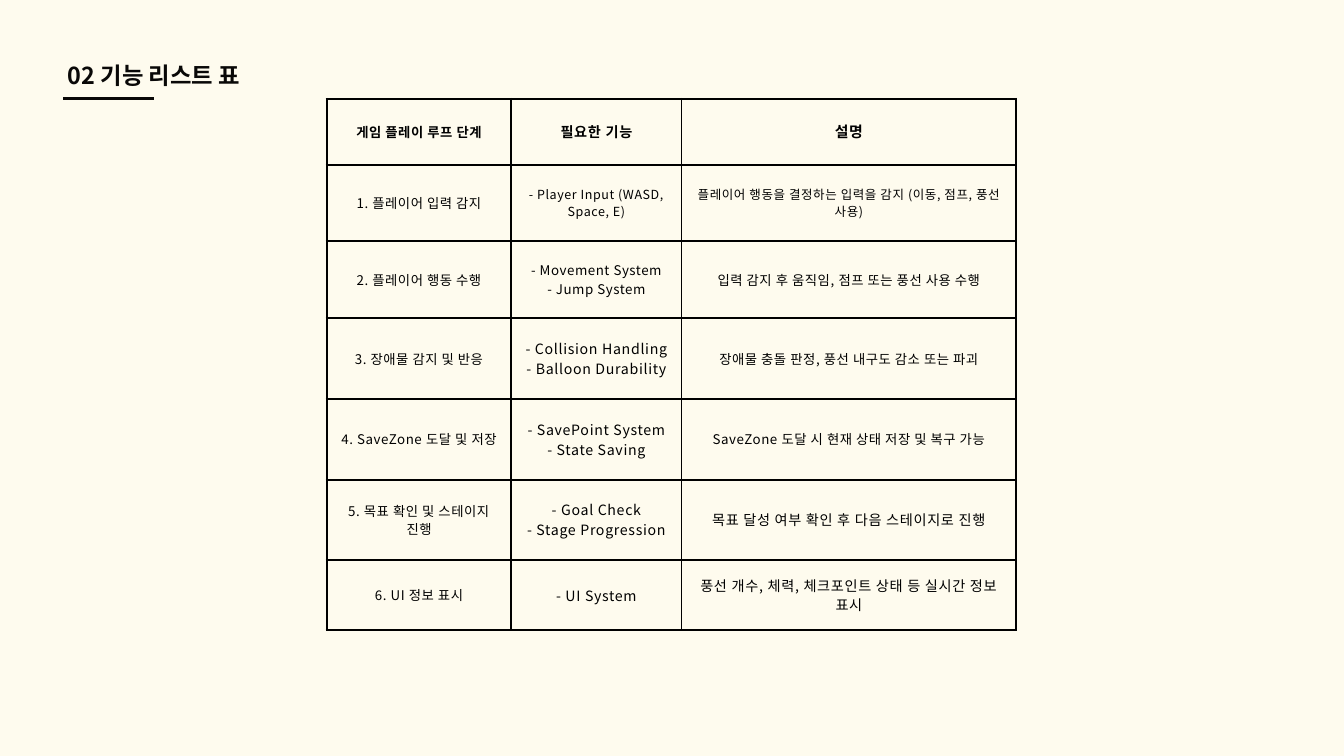
from dataclasses import dataclass

from lxml import etree
from pptx import Presentation
from pptx.dml.color import RGBColor
from pptx.enum.shapes import MSO_CONNECTOR
from pptx.enum.text import MSO_ANCHOR, MSO_AUTO_SIZE, PP_ALIGN
from pptx.oxml.ns import qn
from pptx.util import Pt

STRAIGHT = MSO_CONNECTOR.STRAIGHT
TOP, MIDDLE = MSO_ANCHOR.TOP, MSO_ANCHOR.MIDDLE
LEFT, CENTER = PP_ALIGN.LEFT, PP_ALIGN.CENTER
NO_AUTOFIT = MSO_AUTO_SIZE.NONE
TITLE_ONLY = 5


@dataclass(frozen=True)
class Theme:
    font: str = "Noto Sans CJK SC"
    background: str = "FEFBEE"
    ink: str = "090807"
    table_ink: str = "000000"
    title: float = 25
    large: float = 16
    medium: float = 15.2
    small: float = 14.3
    tiny: float = 13.4
    leading: float = 1.4
    rule: float = 3
    border: float = 2.38
    cell_margin: float = 13.7


class SlideBuilder:
    def __init__(self, slide, theme):
        self.s = slide
        self.theme = theme

    def background(self):
        fill = self.s.background.fill
        fill.solid()
        fill.fore_color.rgb = RGBColor.from_string(self.theme.background)

    def paragraph(self, p, text, size, color, align, bold=False, tracking=0):
        p.alignment = align
        p.line_spacing = Pt(round(size * self.theme.leading, 1))
        p.space_before = Pt(0)
        r = p.add_run()
        r.text = text
        r.font.size = Pt(size)
        r.font.bold = bold
        r.font.color.rgb = RGBColor.from_string(color)
        r.font.name = self.theme.font
        rpr = r.font._element
        rpr.set("spc", str(round(tracking * 100)))
        etree.SubElement(rpr, qn("a:ea"), typeface=self.theme.font)

    def title(self, text, left, top, width, height):
        sp = self.s.shapes.title
        sp.left, sp.top, sp.width, sp.height = map(Pt, (left, top, width, height))
        tf = sp.text_frame
        tf.margin_left = tf.margin_right = tf.margin_top = tf.margin_bottom = 0
        tf.word_wrap = True
        tf.auto_size = NO_AUTOFIT
        tf.vertical_anchor = TOP
        self.paragraph(tf.paragraphs[0], text, self.theme.title, self.theme.ink,
                       LEFT, bold=True)

    def rule(self, left, top, width):
        line = self.s.shapes.add_connector(
            STRAIGHT, Pt(left), Pt(top), Pt(left + width), Pt(top))
        line.line.color.rgb = RGBColor.from_string(self.theme.ink)
        line.line.width = Pt(self.theme.rule)
        etree.SubElement(line._element.spPr, qn("a:effectLst"))

    def borders(self, cell):
        tc_pr = cell._tc.get_or_add_tcPr()
        for side in ("lnL", "lnR", "lnT", "lnB"):
            ln = etree.SubElement(tc_pr, qn(f"a:{side}"),
                                  w=str(Pt(self.theme.border)))
            fill = etree.SubElement(ln, qn("a:solidFill"))
            etree.SubElement(fill, qn("a:srgbClr"), val=self.theme.table_ink)

    def cell(self, cell, size, lines, bold):
        theme = self.theme
        self.borders(cell)
        cell.fill.background()
        cell.vertical_anchor = MIDDLE
        margin = Pt(theme.cell_margin)
        cell.margin_left = cell.margin_right = margin
        cell.margin_top = cell.margin_bottom = margin
        tracking = 0.7 if size >= theme.medium else 0.6
        tf = cell.text_frame
        for i, text in enumerate(lines):
            p = tf.add_paragraph() if i else tf.paragraphs[0]
            self.paragraph(p, text, size, theme.table_ink, CENTER, bold, tracking)

    def table(self, rows, left, top, widths, heights):
        frame = self.s.shapes.add_table(
            len(heights), len(widths), Pt(left), Pt(top),
            Pt(sum(widths)), Pt(sum(heights)))
        table = frame.table
        table.first_row = table.horz_banding = False
        for column, width in zip(table.columns, widths):
            column.width = Pt(width)
        for i, (row, height) in enumerate(zip(rows, heights)):
            table.rows[i].height = Pt(height)
            for j, (size, *lines) in enumerate(row):
                self.cell(table.cell(i, j), size, lines, bold=i == 0)


THEME = Theme()
LARGE, MEDIUM, SMALL, TINY = THEME.large, THEME.medium, THEME.small, THEME.tiny

# Each cell: type size, then its lines
FEATURES = [
    [(SMALL, "게임 플레이 루프 단계"), (MEDIUM, "필요한 기능"), (LARGE, "설명")],
    [(SMALL, "1. 플레이어 입력 감지"),
     (TINY, "- Player Input (WASD, Space, E)"),
     (TINY, "플레이어 행동을 결정하는 입력을 감지 (이동, 점프, 풍선 사용)")],
    [(SMALL, "2. 플레이어 행동 수행"),
     (SMALL, "- Movement System", "- Jump System"),
     (SMALL, "입력 감지 후 움직임, 점프 또는 풍선 사용 수행")],
    [(SMALL, "3. 장애물 감지 및 반응"),
     (MEDIUM, "- Collision Handling", "- Balloon Durability"),
     (SMALL, "장애물 충돌 판정, 풍선 내구도 감소 또는 파괴")],
    [(SMALL, "4. SaveZone 도달 및 저장"),
     (MEDIUM, "- SavePoint System", "- State Saving"),
     (SMALL, "SaveZone 도달 시 현재 상태 저장 및 복구 가능")],
    [(SMALL, "5. 목표 확인 및 스테이지 진행"),
     (MEDIUM, "- Goal Check", "- Stage Progression"),
     (MEDIUM, "목표 달성 여부 확인 후 다음 스테이지로 진행")],
    [(SMALL, "6. UI 정보 표시"),
     (MEDIUM, "- UI System"),
     (MEDIUM, "풍선 개수, 체력, 체크포인트 상태 등 실시간 정보 표시")],
]
COLUMN_WIDTHS = [198, 182.2, 358.8]
ROW_HEIGHTS = [70.6, 82, 82.8, 86.4, 86.4, 86.4, 74.9]


def main():
    prs = Presentation()
    prs.slide_width, prs.slide_height = Pt(1440), Pt(810)
    slide = prs.slides.add_slide(prs.slide_layouts[TITLE_ONLY])
    builder = SlideBuilder(slide, THEME)
    builder.background()

    # Heading and its underline
    builder.title("02 기능 리스트 표", 72.7, 60.5, 483, 67.7)
    builder.rule(67.7, 105.8, 97.2)

    # Feature table
    builder.table(FEATURES, 350, 105.8, COLUMN_WIDTHS, ROW_HEIGHTS)

    prs.save("out.pptx")


if __name__ == "__main__":
    main()
